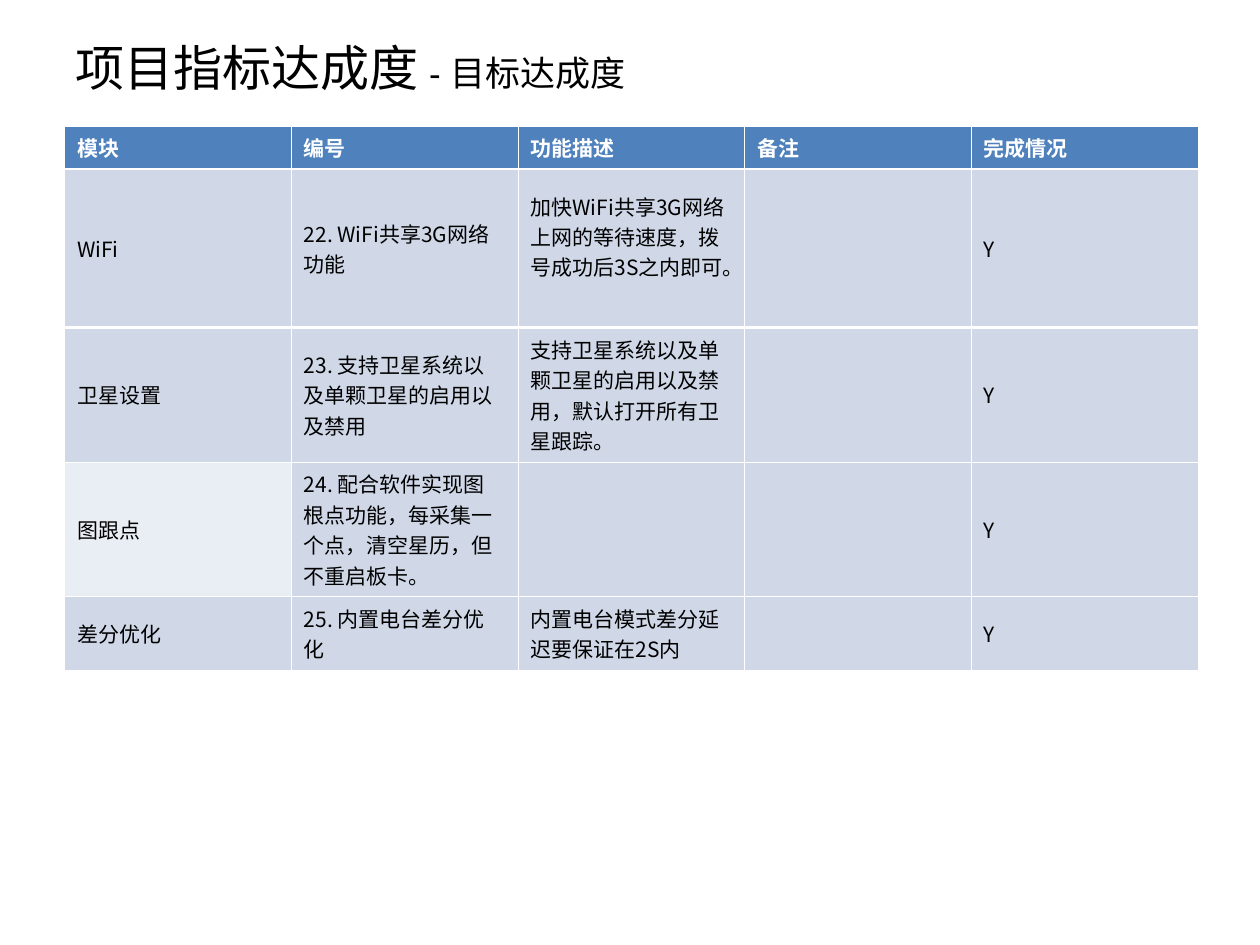
import pptx
import pptx.util
import pptx.dml.color
import pptx.enum.text
import pptx.oxml
import pptx.oxml.ns
import lxml.etree

Cm = pptx.util.Cm
Pt = pptx.util.Pt
qn = pptx.oxml.ns.qn

COLORS = {
    "text": "000000",
    "header": "4F81BD",
    "header_text": "FFFFFF",
    "band": "D0D8E8",
    "light": "E9EDF4",
    "border": "FFFFFF",
}
CJK_FONT = "Noto Sans CJK SC"
TITLE_RUNS = [("项目指标达成度 ", 28), ("- 目标达成度", 20)]
HEADERS = ["模块", "编号", "功能描述", "备注", "完成情况"]
ROWS = [
    ["WiFi", "22. WiFi共享3G网络功能",
     "加快WiFi共享3G网络上网的等待速度，拨号成功后3S之内即可。", "", "Y"],
    ["卫星设置", "23. 支持卫星系统以及单颗卫星的启用以及禁用",
     "支持卫星系统以及单颗卫星的启用以及禁用，默认打开所有卫星跟踪。", "", "Y"],
    ["图跟点", "24. 配合软件实现图根点功能，每采集一个点，清空星历，但不重启板卡。",
     "", "", "Y"],
    ["差分优化", "25. 内置电台差分优化", "内置电台模式差分延迟要保证在2S内", "", "Y"],
]
ROW_HEIGHTS = [0.76, 2.9, 2.29, 2.29, 1.27]
COLUMN_WIDTH = 4.57
THIN, THICK = 0.45, 1.47
THICK_LINES = (1, 2)
LIGHT_CELL = (3, 0)
RAISED_CELL = (1, 2)


def add_run(paragraph, text, size, font, color, bold=False):
    run = paragraph.add_run()
    run.text = text
    run.font.size = Pt(size)
    run.font.name = font
    run.font.bold = bold
    run.font.color.rgb = pptx.dml.color.RGBColor.from_string(COLORS[color])
    east_asian = lxml.etree.SubElement(run.font._element, qn("a:ea"))
    east_asian.set("typeface", CJK_FONT)


def set_borders(cell, row_index):
    properties = cell._tc.get_or_add_tcPr()
    top = THICK if row_index in THICK_LINES else THIN
    bottom = THICK if row_index + 1 in THICK_LINES else THIN
    sides = [("a:lnL", THIN), ("a:lnR", THIN), ("a:lnT", top), ("a:lnB", bottom)]
    for position, (tag, width) in enumerate(sides):
        line = lxml.etree.Element(qn(tag), w=str(int(Pt(width))))
        fill = lxml.etree.SubElement(line, qn("a:solidFill"))
        lxml.etree.SubElement(fill, qn("a:srgbClr"), val=COLORS["border"])
        properties.insert(position, line)


def add_title(slide):
    title = slide.shapes.title
    title.left, title.top = Cm(1.27), Cm(0.76)
    title.width, title.height = Cm(22.86), Cm(2.16)
    frame = title.text_frame
    frame.word_wrap = True
    frame.auto_size = pptx.enum.text.MSO_AUTO_SIZE.NONE
    frame.vertical_anchor = pptx.enum.text.MSO_ANCHOR.TOP
    frame.margin_top = 0
    paragraph = frame.paragraphs[0]
    paragraph.alignment = pptx.enum.text.PP_ALIGN.LEFT
    for text, size in TITLE_RUNS:
        add_run(paragraph, text, size, "Arial", "text")


def fill_cell(cell, text, row_index, column_index):
    header = row_index == 0
    position = (row_index, column_index)
    color = "header" if header else "light" if position == LIGHT_CELL else "band"
    cell.fill.solid()
    cell.fill.fore_color.rgb = pptx.dml.color.RGBColor.from_string(COLORS[color])
    cell.vertical_anchor = pptx.enum.text.MSO_ANCHOR.MIDDLE
    if position == RAISED_CELL:
        cell.margin_bottom = Cm(0.61)
    paragraph = cell.text_frame.paragraphs[0]
    paragraph.space_before = Pt(3)
    if text:
        font = "Calibri" if header else CJK_FONT
        add_run(paragraph, text, 12, font, "header_text" if header else "text", header)
    set_borders(cell, row_index)


def add_indicator_table(slide):
    content = [HEADERS] + ROWS
    table = slide.shapes.add_table(
        len(content), len(HEADERS), Cm(1.3), Cm(2.54),
        Cm(COLUMN_WIDTH * len(HEADERS)), Cm(sum(ROW_HEIGHTS))).table
    table.horz_banding = False
    for column in table.columns:
        column.width = Cm(COLUMN_WIDTH)
    for row_index, texts in enumerate(content):
        table.rows[row_index].height = Cm(ROW_HEIGHTS[row_index])
        for column_index, text in enumerate(texts):
            fill_cell(table.cell(row_index, column_index), text, row_index, column_index)


def main():
    presentation = pptx.Presentation()
    presentation.slide_width, presentation.slide_height = Cm(25.4), Cm(19.05)
    slide = presentation.slides.add_slide(presentation.slide_layouts[5])
    add_title(slide)
    add_indicator_table(slide)
    presentation.save("out.pptx")


if __name__ == "__main__":
    main()
